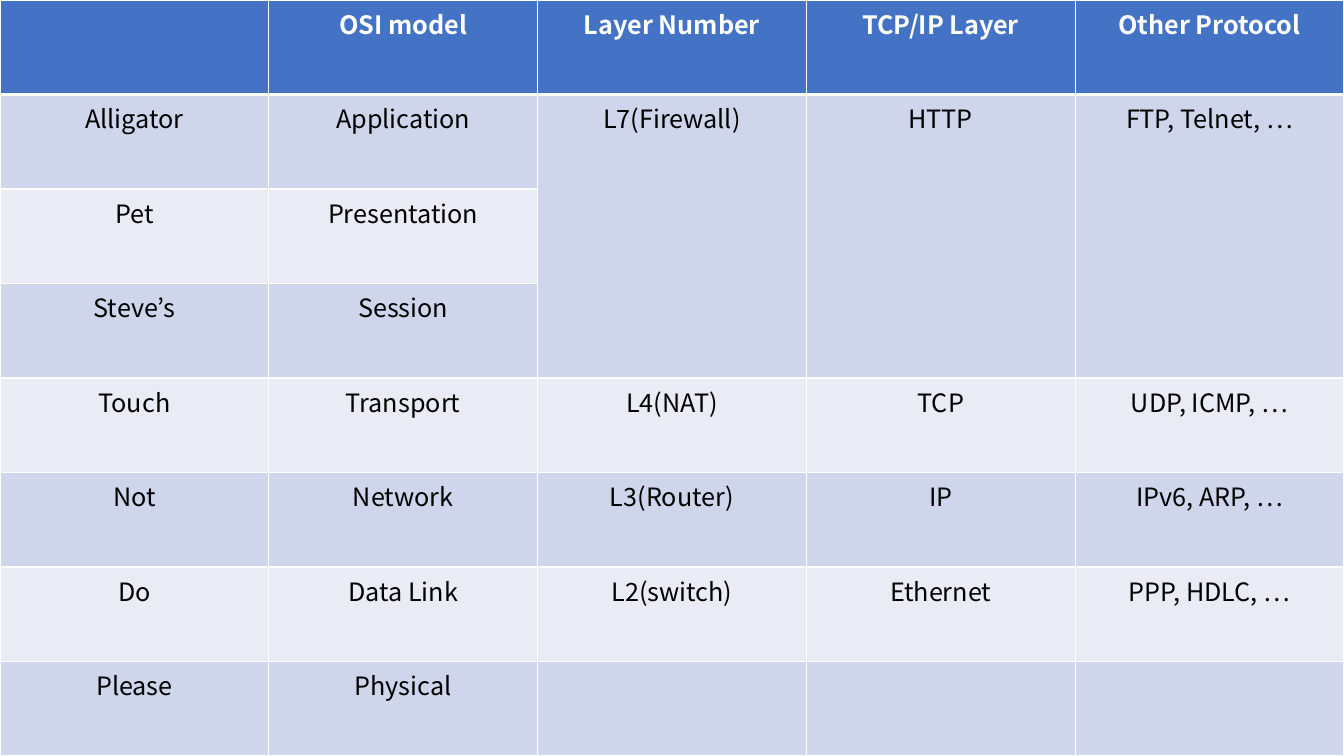
"""Builds a slide with a table of the OSI layers and their protocols."""
from lxml.etree import SubElement
from pptx import Presentation
from pptx.dml.color import RGBColor
from pptx.enum.text import PP_ALIGN
from pptx.oxml.ns import qn
from pptx.util import Inches, Pt

HEADINGS = ("", "OSI model", "Layer Number", "TCP/IP Layer", "Other Protocol")
LAYERS = [
    ("Alligator", "Application", "L7(Firewall)", "HTTP", "FTP, Telnet, …"),
    ("Pet", "Presentation", "", "", ""),
    ("Steve’s", "Session", "", "", ""),
    ("Touch", "Transport", "L4(NAT)", "TCP", "UDP, ICMP, …"),
    ("Not", "Network", "L3(Router)", "IP", "IPv6, ARP, …"),
    ("Do", "Data Link", "L2(switch)", "Ethernet", "PPP, HDLC, …"),
    ("Please", "Physical", "", "", ""),
]
MERGED_ROWS = (1, 3)
MERGED_COLUMNS = (2, 3, 4)
COLORS = {"header": "4472C4", "odd": "CFD5EA", "even": "E9EBF5",
          "white": "FFFFFF", "black": "000000"}
FONT = "Noto Sans CJK KR"
WIDTH, HEIGHT = 13.33, 7.5


def write(cell, text, color="black", bold=False, size=18):
    """Puts centred text in a cell."""
    paragraph = cell.text_frame.paragraphs[0]
    paragraph.alignment = PP_ALIGN.CENTER
    if not text:
        return
    run = paragraph.add_run()
    run.text = text
    run.font.name = FONT
    run.font.size = Pt(size)
    run.font.bold = bold
    run.font.color.rgb = RGBColor.from_string(COLORS[color])
    SubElement(run.font._element, qn("a:ea"), typeface=FONT)


def draw_borders(cell, top=1, bottom=1):
    """Gives a cell white borders, with widths in points."""
    properties = cell._tc.get_or_add_tcPr()
    for side, width in (("L", 1), ("R", 1), ("T", top), ("B", bottom)):
        border = SubElement(properties, qn(f"a:ln{side}"), w=str(Pt(width)))
        fill = SubElement(border, qn("a:solidFill"))
        SubElement(fill, qn("a:srgbClr"), val=COLORS["white"])


def main():
    """Builds and saves the slide."""
    deck = Presentation()
    deck.slide_width, deck.slide_height = Inches(WIDTH), Inches(HEIGHT)
    slide = deck.slides.add_slide(deck.slide_layouts[6])
    rows = [HEADINGS, *LAYERS]
    table = slide.shapes.add_table(len(rows), len(HEADINGS), 0, 0,
                                   Inches(WIDTH), Inches(HEIGHT)).table

    for row, texts in enumerate(rows):
        is_header = row == 0
        for column, text in enumerate(texts):
            cell = table.cell(row, column)
            draw_borders(cell, top=3 if row == 1 else 1,
                         bottom=3 if is_header else 1)
            band = "header" if is_header else "odd" if row % 2 else "even"
            cell.fill.solid()
            cell.fill.fore_color.rgb = RGBColor.from_string(COLORS[band])
            write(cell, text, color="white" if is_header else "black",
                  bold=is_header)

    first, last = MERGED_ROWS
    for column in MERGED_COLUMNS:
        table.cell(first, column).merge(table.cell(last, column))
    deck.save("out.pptx")


if __name__ == "__main__":
    main()
